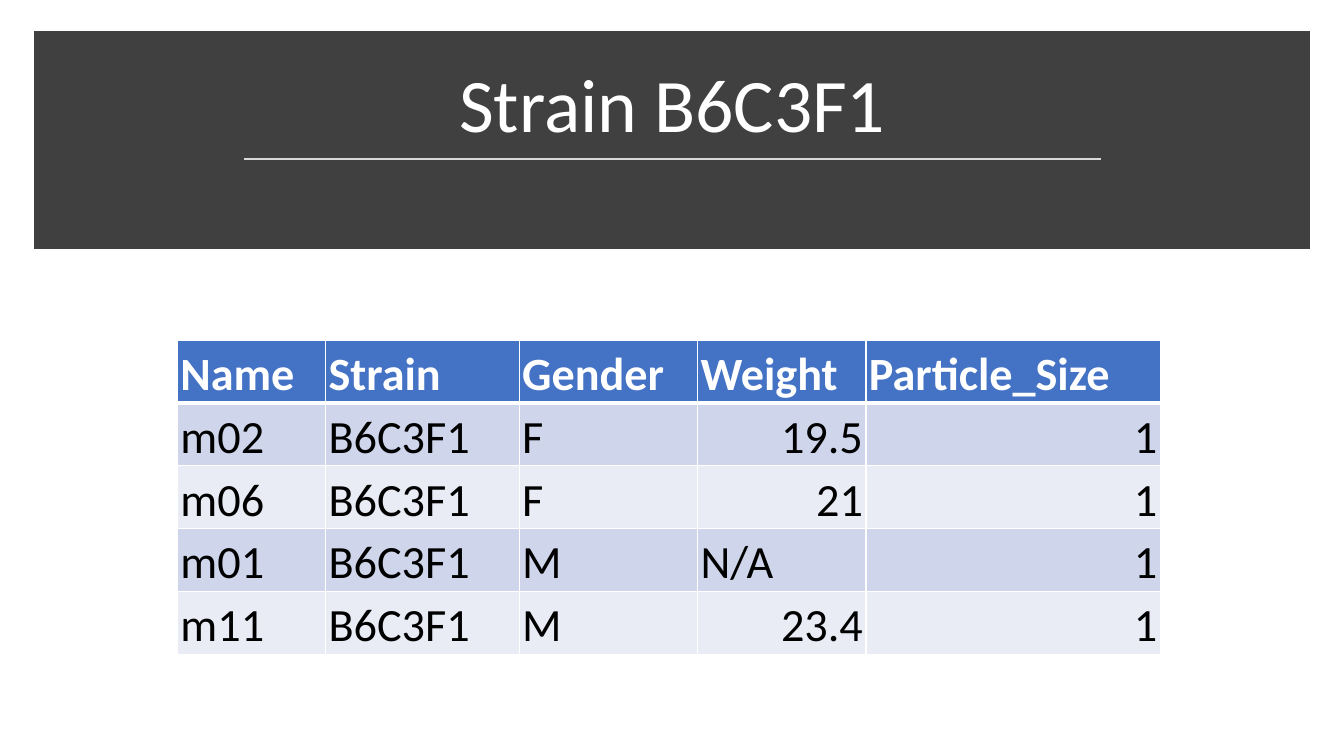
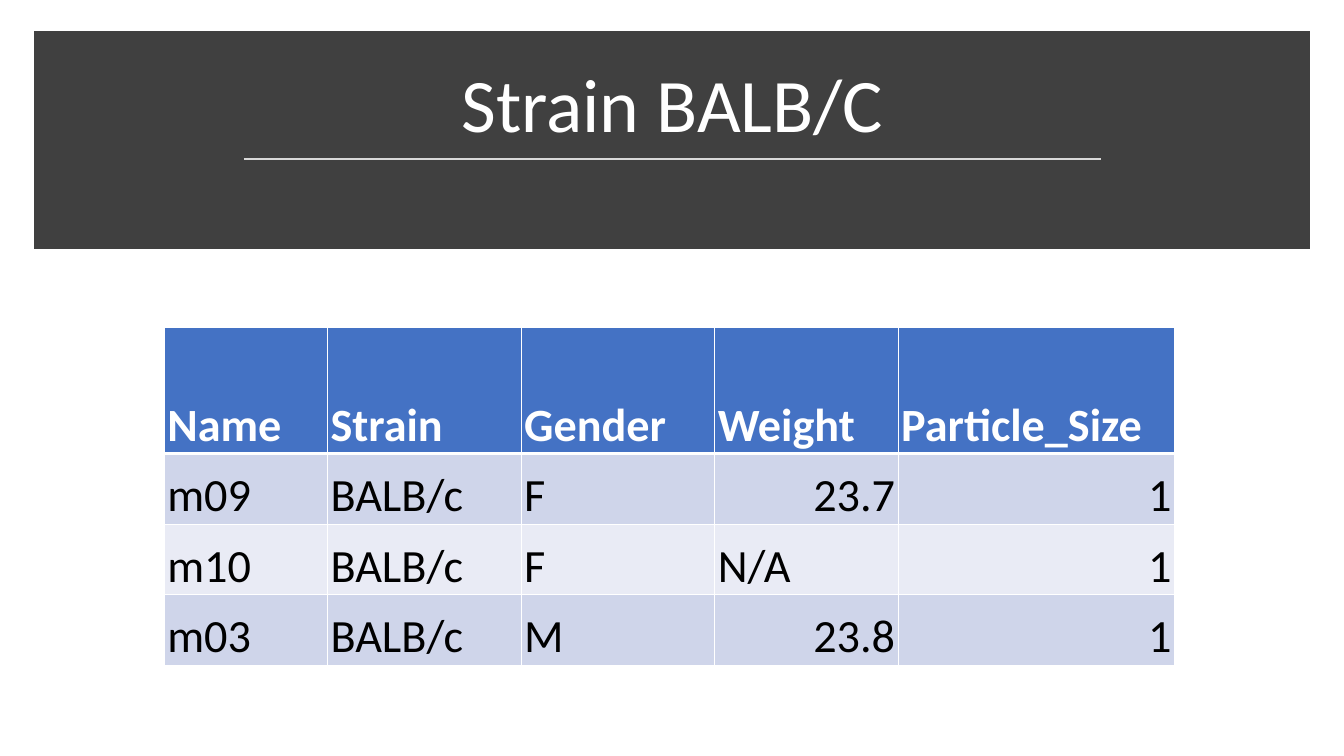
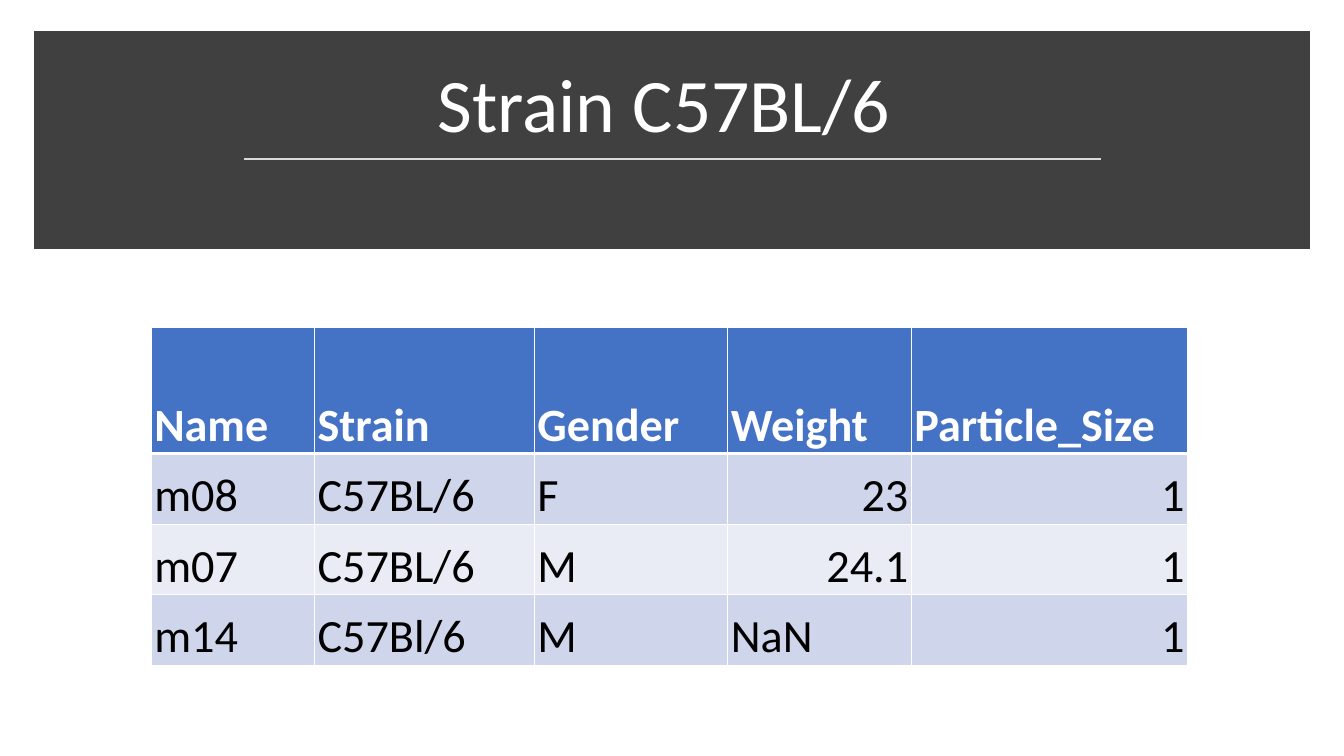
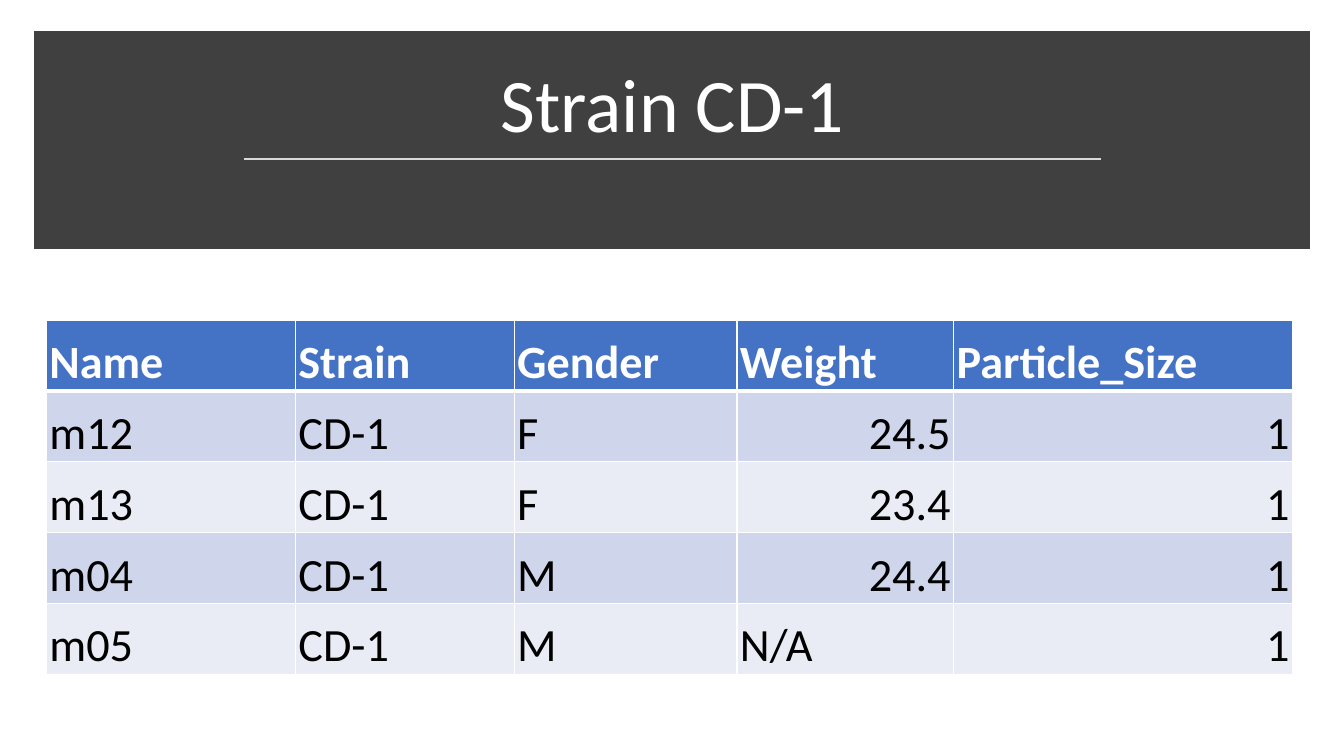
from dataclasses import dataclass

from lxml import etree
from pptx import Presentation
from pptx.dml.color import RGBColor
from pptx.enum.shapes import MSO_CONNECTOR, MSO_SHAPE
from pptx.enum.text import MSO_ANCHOR, PP_ALIGN
from pptx.oxml.ns import qn
from pptx.slide import Slide
from pptx.table import _Cell
from pptx.util import Inches, Pt

RECTANGLE = MSO_SHAPE.RECTANGLE
STRAIGHT = MSO_CONNECTOR.STRAIGHT
BOTTOM = MSO_ANCHOR.BOTTOM
LEFT, CENTER, RIGHT = PP_ALIGN.LEFT, PP_ALIGN.CENTER, PP_ALIGN.RIGHT

FONT = "Calibri"
COLORS = {
    "band": "404040",
    "rule": "D9D9D9",
    "header": "4472C4",
    "odd_row": "CFD5EA",
    "even_row": "E9EBF5",
    "white": "FFFFFF",
    "black": "000000",
}
HEADINGS = ("Name", "Strain", "Gender", "Weight", "Particle_Size")
PARTICLE_SIZE = "1"
GRID_WIDTH = 1
HEADER_RULE_WIDTH = 3


@dataclass(frozen=True)
class Mouse:
    name: str
    strain: str
    gender: str
    weight: str

    def values(self) -> tuple[str, ...]:
        return (self.name, self.strain, self.gender, self.weight, PARTICLE_SIZE)


@dataclass(frozen=True)
class StrainSlide:
    title: str
    left: float
    top: float
    height: float
    header_height: float
    column_widths: tuple[float, ...]
    mice: tuple[Mouse, ...]


STRAINS = (
    StrainSlide(
        "Strain B6C3F1", 1.76, 3.38, 3.11, 0.62, (1.47, 1.92, 1.77, 1.67, 2.92),
        (
            Mouse("m02", "B6C3F1", "F", "19.5"),
            Mouse("m06", "B6C3F1", "F", "21"),
            Mouse("m01", "B6C3F1", "M", "N/A"),
            Mouse("m11", "B6C3F1", "M", "23.4"),
        ),
    ),
    StrainSlide(
        "Strain BALB/C", 1.63, 3.25, 3.35, 1.25, (1.62, 1.92, 1.92, 1.82, 2.74),
        (
            Mouse("m09", "BALB/c", "F", "23.7"),
            Mouse("m10", "BALB/c", "F", "N/A"),
            Mouse("m03", "BALB/c", "M", "23.8"),
        ),
    ),
    StrainSlide(
        "Strain C57BL/6 ", 1.5, 3.25, 3.35, 1.25, (1.62, 2.18, 1.92, 1.82, 2.74),
        (
            Mouse("m08", "C57BL/6", "F", "23"),
            Mouse("m07", "C57BL/6", "M", "24.1"),
            Mouse("m14", "C57Bl/6", "M", "NaN"),
        ),
    ),
    StrainSlide(
        "Strain CD-1", 0.46, 3.18, 3.51, 0.7, (2.47, 2.17, 2.21, 2.15, 3.36),
        (
            Mouse("m12", "CD-1", "F", "24.5"),
            Mouse("m13", "CD-1", "F", "23.4"),
            Mouse("m04", "CD-1", "M", "24.4"),
            Mouse("m05", "CD-1", "M", "N/A"),
        ),
    ),
)


def rgb(color: str) -> RGBColor:
    return RGBColor.from_string(COLORS[color])


def add_title_band(slide: Slide, title: str) -> None:
    band = slide.shapes.add_shape(
        RECTANGLE, Inches(0.41), Inches(0.38), Inches(12.51), Inches(2.02)
    )
    band.shadow.inherit = False
    band.fill.solid()
    band.fill.fore_color.rgb = rgb("band")
    band.line.color.rgb = rgb("band")
    band.line.width = Pt(10)
    outline = band.element.spPr.find(qn("a:ln"))
    etree.SubElement(outline, qn("a:miter"), lim="800000")

    heading = slide.shapes.add_textbox(
        Inches(0.58), Inches(0.51), Inches(12.18), Inches(1.02)
    ).text_frame
    heading.word_wrap = True
    heading.vertical_anchor = BOTTOM
    paragraph = heading.paragraphs[0]
    paragraph.text = title
    paragraph.alignment = CENTER
    paragraph.line_spacing = 0.9
    paragraph.font.name = FONT
    paragraph.font.size = Pt(54)
    paragraph.font.color.rgb = rgb("white")

    rule = slide.shapes.add_connector(
        STRAIGHT, Inches(2.42), Inches(1.58), Inches(10.92), Inches(1.58)
    )
    rule.line.color.rgb = rgb("rule")
    rule.line.width = Pt(1.75)
    etree.SubElement(rule.element.spPr, qn("a:effectLst"))


def set_borders(cell: _Cell, top: float, bottom: float) -> None:
    properties = cell._tc.get_or_add_tcPr()
    widths = {"lnL": GRID_WIDTH, "lnR": GRID_WIDTH, "lnT": top, "lnB": bottom}
    for side, width in widths.items():
        border = etree.SubElement(properties, qn(f"a:{side}"), w=str(Pt(width)))
        fill = etree.SubElement(border, qn("a:solidFill"))
        etree.SubElement(fill, qn("a:srgbClr"), val=COLORS["white"])


def fill_cell(cell: _Cell, text: str, row: int) -> None:
    is_header = row == 0
    set_borders(
        cell,
        top=HEADER_RULE_WIDTH if row == 1 else GRID_WIDTH,
        bottom=HEADER_RULE_WIDTH if is_header else GRID_WIDTH,
    )
    cell.fill.solid()
    row_color = "odd_row" if row % 2 else "even_row"
    cell.fill.fore_color.rgb = rgb("header" if is_header else row_color)
    cell.margin_left = cell.margin_right = cell.margin_top = Inches(0.03)
    cell.margin_bottom = 0
    cell.vertical_anchor = BOTTOM
    paragraph = cell.text_frame.paragraphs[0]
    paragraph.text = text
    paragraph.alignment = RIGHT if text[0].isdigit() else LEFT
    paragraph.font.name = FONT
    paragraph.font.size = Pt(33)
    paragraph.font.bold = is_header
    paragraph.font.color.rgb = rgb("white" if is_header else "black")


def add_mouse_table(slide: Slide, strain: StrainSlide) -> None:
    rows = (HEADINGS, *(mouse.values() for mouse in strain.mice))
    table = slide.shapes.add_table(
        len(rows),
        len(HEADINGS),
        Inches(strain.left),
        Inches(strain.top),
        Inches(sum(strain.column_widths)),
        Inches(strain.height),
    ).table
    table.horz_banding = False
    for column, width in zip(table.columns, strain.column_widths):
        column.width = Inches(width)
    body_height = (strain.height - strain.header_height) / len(strain.mice)
    for row, values in enumerate(rows):
        table.rows[row].height = Inches(body_height if row else strain.header_height)
        for column, text in enumerate(values):
            fill_cell(table.cell(row, column), text, row)


def main() -> None:
    presentation = Presentation()
    presentation.slide_width = Inches(13.33)
    presentation.slide_height = Inches(7.5)
    blank = presentation.slide_layouts[6]
    for strain in STRAINS:
        slide = presentation.slides.add_slide(blank)
        add_title_band(slide, strain.title)
        add_mouse_table(slide, strain)
    presentation.save("out.pptx")


if __name__ == "__main__":
    main()
